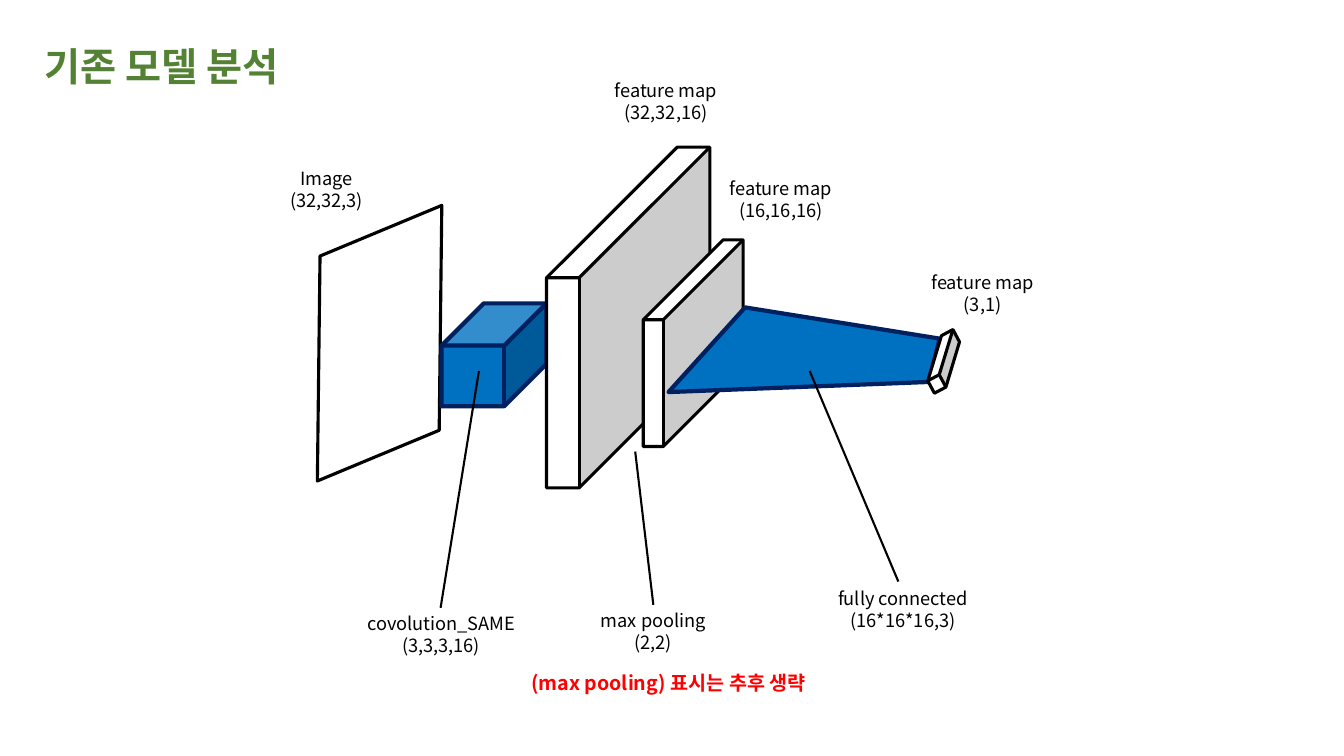
from pptx import Presentation
from pptx.dml.color import RGBColor
from pptx.enum.shapes import MSO_CONNECTOR, MSO_SHAPE
from pptx.enum.text import MSO_AUTO_SIZE, PP_ALIGN
from pptx.oxml.ns import qn
from pptx.util import Inches, Pt
from lxml.etree import SubElement

THEME = {
    "font": "Noto Sans CJK KR",
    "outline": ("000000", 2.25),
    "kernel": ("002060", 3),
    "lead": ("000000", 1.5),
    "white": "FFFFFF",
    "blue": "0070C0",
    "label": {"size": 13, "bold": False, "color": "000000"},
    "title": {"size": 28, "bold": True, "color": "548235"},
    "note": {"size": 14, "bold": True, "color": "FF0000"},
}

# preset, (left, top, width, height), adjustment, rotation, fill, line
IMAGE = (MSO_SHAPE.PARALLELOGRAM, (2.67, 2.38, 2.19, 2.05), 0.43, 157.4, None, "outline")
KERNEL = (MSO_SHAPE.CUBE, (4.38, 3.01, 1.04, 1.02), 0.41, 0, "blue", "kernel")
MAPS = [
    (MSO_SHAPE.CUBE, (5.42, 1.46, 1.62, 3.38), 0.8, 0, "white", "outline"),
    (MSO_SHAPE.CUBE, (6.38, 2.38, 0.99, 2.05), 0.8, 0, "white", "outline"),
]
DENSE = [(7.39, 3.05), (9.32, 3.36), (9.21, 3.79), (6.63, 3.89)]
OUTPUT = (MSO_SHAPE.CUBE, (9.13, 3.35, 0.46, 0.47), 0.72, 331.8, "white", "outline")

LEADS = [
    (4.75, 3.68, 4.37, 6.03),
    (6.3, 4.48, 6.48, 6),
    (8.03, 3.68, 8.91, 5.77),
]

# lines, (left, top, width, height), style, alignment
LABELS = [
    (["Image", "(32,32,3)"], (2.72, 1.61, 1.04, 0.63)),
    (["covolution_SAME", "(3,3,3,16)"], (3.43, 6.03, 1.89, 0.63)),
    (["feature map", "(32,32,16)"], (5.9, 0.74, 1.41, 0.63)),
    (["feature map", "(16,16,16)"], (7.04, 1.71, 1.41, 0.63)),
    (["feature map", "(3,1)"], (9.04, 2.64, 1.41, 0.63)),
    (["fully connected", "(16*16*16,3)"], (8.1, 5.78, 1.71, 0.63)),
    (["max pooling", "(2,2)"], (5.76, 6, 1.44, 0.63)),
]
TITLE = (["기존 모델 분석"], (0.34, 0.37, 2.84, 0.57))
NOTE = (["(max pooling) 표시는 추후 생략"], (5.17, 6.61, 3.1, 0.34))


def inches(nums):
    return [Inches(n) for n in nums]


def stroke(line, name):
    color, width = THEME[name]
    line.color.rgb = RGBColor.from_string(color)
    line.width = Pt(width)


def paint(shape, fill, line):
    shape.shadow.inherit = False
    if fill:
        shape.fill.solid()
        shape.fill.fore_color.rgb = RGBColor.from_string(THEME[fill])
    else:
        shape.fill.background()
    stroke(shape.line, line)


def add_solid(slide, kind, box, adjust, turn, fill, line):
    shape = slide.shapes.add_shape(kind, *inches(box))
    shape.adjustments[0] = adjust
    shape.rotation = turn
    paint(shape, fill, line)


def add_dense(slide):
    """Draw the fully connected layer as a tapering blue wedge."""
    first, *rest = [inches(point) for point in DENSE]
    pen = slide.shapes.build_freeform(*first)
    pen.add_line_segments(rest, close=True)
    paint(pen.convert_to_shape(), "blue", "kernel")


def add_lead(slide, ends):
    lead = slide.shapes.add_connector(MSO_CONNECTOR.STRAIGHT, *inches(ends))
    stroke(lead.line, "lead")
    SubElement(lead._element.spPr, qn("a:effectLst"))


def add_text(slide, lines, box, style, align):
    look = THEME[style]
    form = {"name": THEME["font"], "size": Pt(look["size"]), "bold": look["bold"]}
    frame = slide.shapes.add_textbox(*inches(box)).text_frame
    frame.word_wrap = False
    frame.auto_size = MSO_AUTO_SIZE.SHAPE_TO_FIT_TEXT
    for i, line in enumerate(lines):
        para = frame.add_paragraph() if i else frame.paragraphs[0]
        para.alignment = align
        run = para.add_run()
        run.text = line
        for key, value in form.items():
            setattr(run.font, key, value)
        run.font.color.rgb = RGBColor.from_string(look["color"])
        SubElement(run._r.get_or_add_rPr(), qn("a:ea"), typeface=THEME["font"])


def main():
    deck = Presentation()
    deck.slide_width, deck.slide_height = inches((13.33, 7.5))
    slide = deck.slides.add_slide(deck.slide_layouts[6])
    for solid in (IMAGE, KERNEL, *MAPS):
        add_solid(slide, *solid)
    add_dense(slide)
    add_solid(slide, *OUTPUT)
    for ends in LEADS:
        add_lead(slide, ends)
    for label in LABELS:
        add_text(slide, *label, "label", PP_ALIGN.CENTER)
    add_text(slide, *TITLE, "title", PP_ALIGN.LEFT)
    add_text(slide, *NOTE, "note", PP_ALIGN.LEFT)
    deck.save("out.pptx")


if __name__ == "__main__":
    main()
